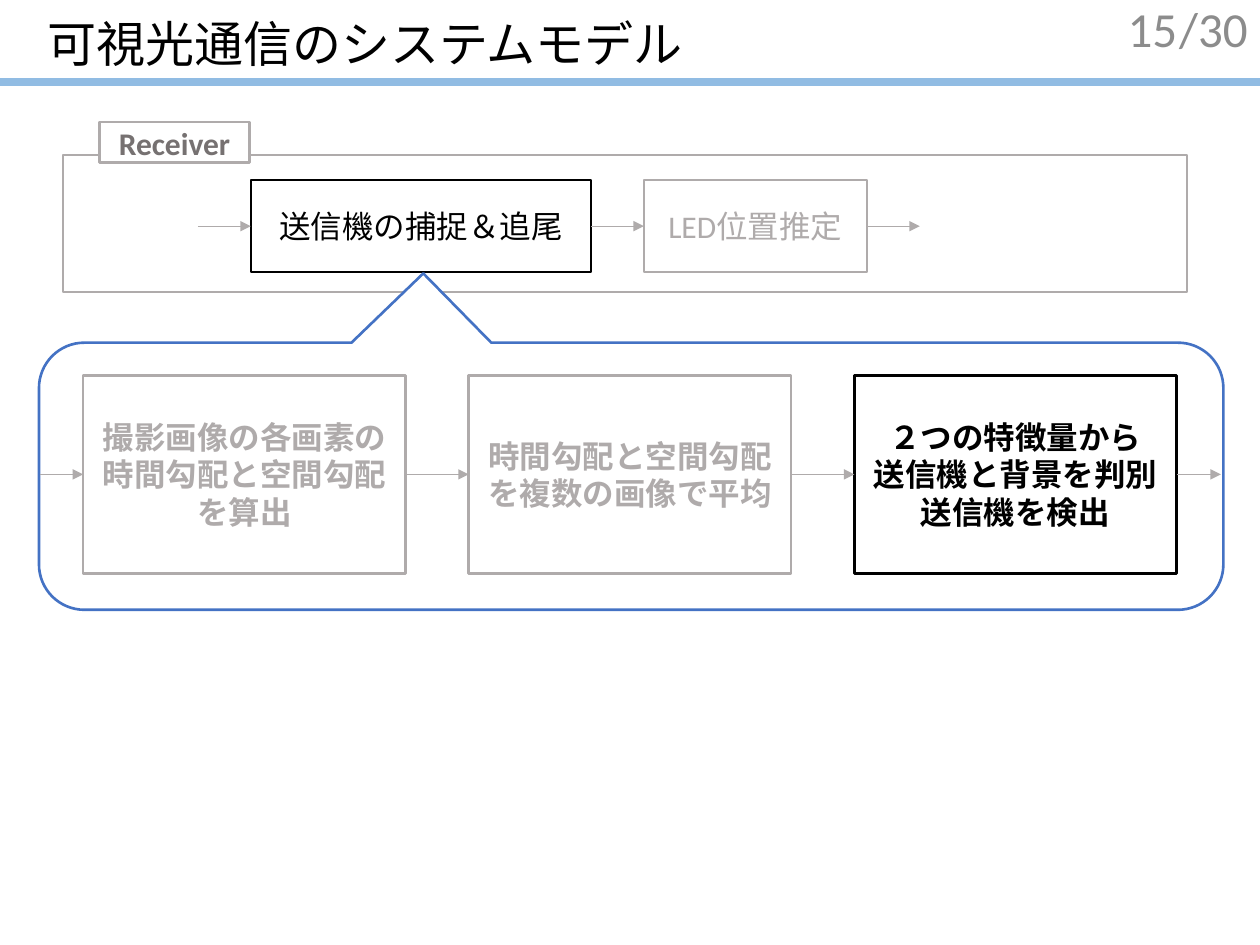
from collections import namedtuple
from dataclasses import dataclass
from math import cos, pi, sin

from lxml.etree import SubElement
from pptx import Presentation
from pptx.dml.color import RGBColor
from pptx.enum.shapes import MSO_CONNECTOR, MSO_SHAPE
from pptx.enum.text import MSO_ANCHOR, PP_ALIGN
from pptx.oxml.ns import qn
from pptx.util import Inches, Pt

Box = namedtuple("Box", "x y w h")


@dataclass(frozen=True)
class Theme:
    font: str = "Calibri"
    head: int = 28
    body: int = 18
    black: str = "000000"
    white: str = "FFFFFF"
    faint: str = "AFABAB"
    label: str = "767171"
    page: str = "8C8C8C"
    rule: str = "91BCE3"
    blue: str = "4472C4"


T = Theme()
WIDE, HIGH = 10, 7.5


def rgb(code):
    return RGBColor.from_string(code)


def write(frame, lines, color, size=T.body, bold=False, align=PP_ALIGN.CENTER):
    frame.word_wrap = True
    frame.vertical_anchor = MSO_ANCHOR.MIDDLE
    frame.text = "\n".join(lines)
    for para in frame.paragraphs:
        para.alignment = align
        font = para.font
        font.name, font.size, font.bold = T.font, Pt(size), bold
        font.color.rgb = rgb(color)


def paint(shape, line, width, fill=None):
    shape.shadow.inherit = False
    if fill:
        shape.fill.solid()
        shape.fill.fore_color.rgb = rgb(fill)
    else:
        shape.fill.background()
    shape.line.color.rgb = rgb(line)
    shape.line.width = Pt(width)


def block(slide, box, line, width, lines=(), color=None, bold=False, fill=None):
    shape = slide.shapes.add_shape(MSO_SHAPE.RECTANGLE, *map(Inches, box))
    paint(shape, line, width, fill)
    if lines:
        write(shape.text_frame, lines, color or line, bold=bold)
    return shape


def rule(slide, start, end, color, width):
    line = slide.shapes.add_connector(
        MSO_CONNECTOR.STRAIGHT, *map(Inches, (*start, *end)))
    line.line.color.rgb = rgb(color)
    line.line.width = Pt(width)
    SubElement(line._element.spPr, qn("a:effectLst"))
    return line


def chain(slide, blocks, y, left, right):
    """Arrows into, between and out of a row of blocks."""
    ends = [None, *blocks, None]
    for prev, step in zip(ends, ends[1:]):
        arrow = rule(slide, (left, y), (right, y), T.faint, 0.5)
        if prev:
            arrow.begin_connect(prev, 3)
        if step:
            arrow.end_connect(step, 1)
        SubElement(arrow.line._get_or_add_ln(), qn("a:tailEnd"), type="triangle")


def header(slide, box):
    title = slide.shapes.title
    title.left, title.top = Inches(0.28), Inches(box.y)
    title.width, title.height = Inches(9.03), Inches(0.74)
    write(title.text_frame, ["可視光通信のシステムモデル"], T.black, T.head,
          align=PP_ALIGN.LEFT)
    title.text_frame.paragraphs[0].line_spacing = 0.9
    foot = box.y + box.h
    rule(slide, (box.x, foot), (box.x + box.w, foot), T.rule, 4.5)
    for text, right, width in (("15", 9.44, 2.25), ("/30", box.w, 1.01)):
        area = Box(right - width, box.y + 0.02, width, 0.4)
        note = slide.shapes.add_textbox(*map(Inches, area))
        write(note.text_frame, [text], T.page, T.head, align=PP_ALIGN.RIGHT)


def receiver(slide, box):
    block(slide, box, T.faint, 1.25)
    top, high, gap = box.y + 0.2, 0.73, 0.42
    track = block(slide, Box(box.x + 1.49, top, 2.7, high), T.black, 1,
                  ["送信機の捕捉＆追尾"])
    place = block(slide, Box(box.x + 4.61, top, 1.77, high), T.faint, 1,
                  ["LED位置推定"])
    chain(slide, [track, place], top + high / 2,
          box.x + 1.49 - gap, box.x + 6.38 + gap)
    block(slide, Box(box.x + 0.29, box.y - 0.26, 1.19, 0.32), T.faint, 1.25,
          ["Receiver"], T.label, True, T.white)


def callout(slide, box, tip, base, bend=0.36, steps=16):
    """Rounded panel whose top edge rises to the tip between the base points."""
    x, y, w, h = box
    west, east, north, south = x + bend, x + w - bend, y + bend, y + h - bend
    hubs = [(west, north), (east, north), (east, south), (west, south)]
    points = []
    for turn, (cx, cy) in enumerate(hubs):
        for step in range(steps + 1):
            angle = pi + (turn + step / steps) * pi / 2
            points.append((cx + bend * cos(angle), cy + bend * sin(angle)))
        if turn == 0:
            points += [(base[0], y), tip, (base[1], y)]
    points = [(Inches(px), Inches(py)) for px, py in points]
    pen = slide.shapes.build_freeform(*points[0])
    pen.add_line_segments(points[1:])
    paint(pen.convert_to_shape(), T.blue, 1.5, T.white)


def detail(slide, box):
    callout(slide, box, (box.x + 3.05, box.y - 0.55),
            (box.x + 2.48, box.x + 3.59))
    steps = (
        (["撮影画像の各画素の", "時間勾配と空間勾配", "を算出"], T.faint),
        (["時間勾配と空間勾配", "を複数の画像で平均"], T.faint),
        (["２つの特徴量から", "送信機と背景を判別送信機を検出"], T.black),
    )
    wide, high, gap = 2.56, 1.57, 0.5
    left, top = box.x + 0.35, box.y + 0.26
    blocks = [
        block(slide, Box(left + col * (wide + gap), top, wide, high),
              color, 1.5, lines, bold=True)
        for col, (lines, color) in enumerate(steps)
    ]
    chain(slide, blocks, top + high / 2, box.x + 0.01, box.x + box.w - 0.02)


def main():
    deck = Presentation()
    deck.slide_width, deck.slide_height = Inches(WIDE), Inches(HIGH)
    slide = deck.slides.add_slide(deck.slide_layouts[5])
    header(slide, Box(0, 0, WIDE, 0.65))
    receiver(slide, Box(0.5, 1.23, 8.92, 1.09))
    detail(slide, Box(0.31, 2.72, 9.4, 2.12))
    deck.save("out.pptx")


if __name__ == "__main__":
    main()
